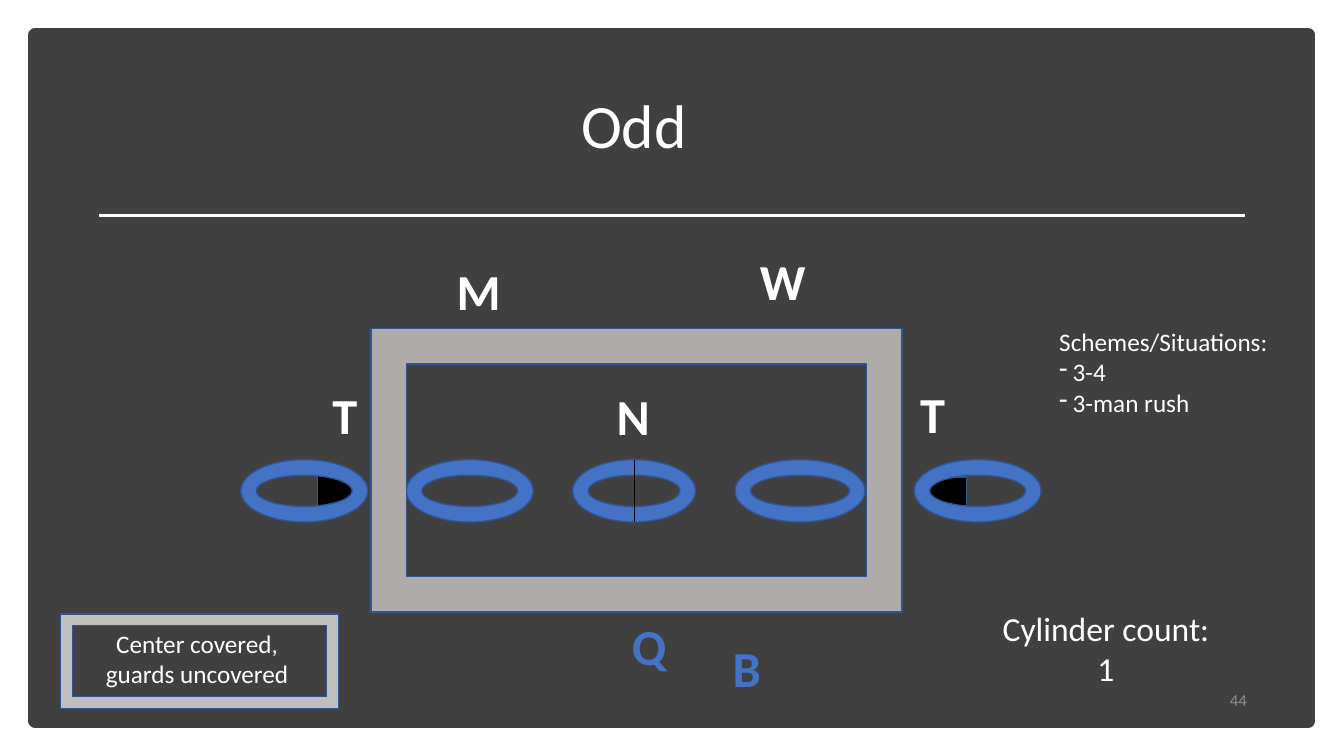
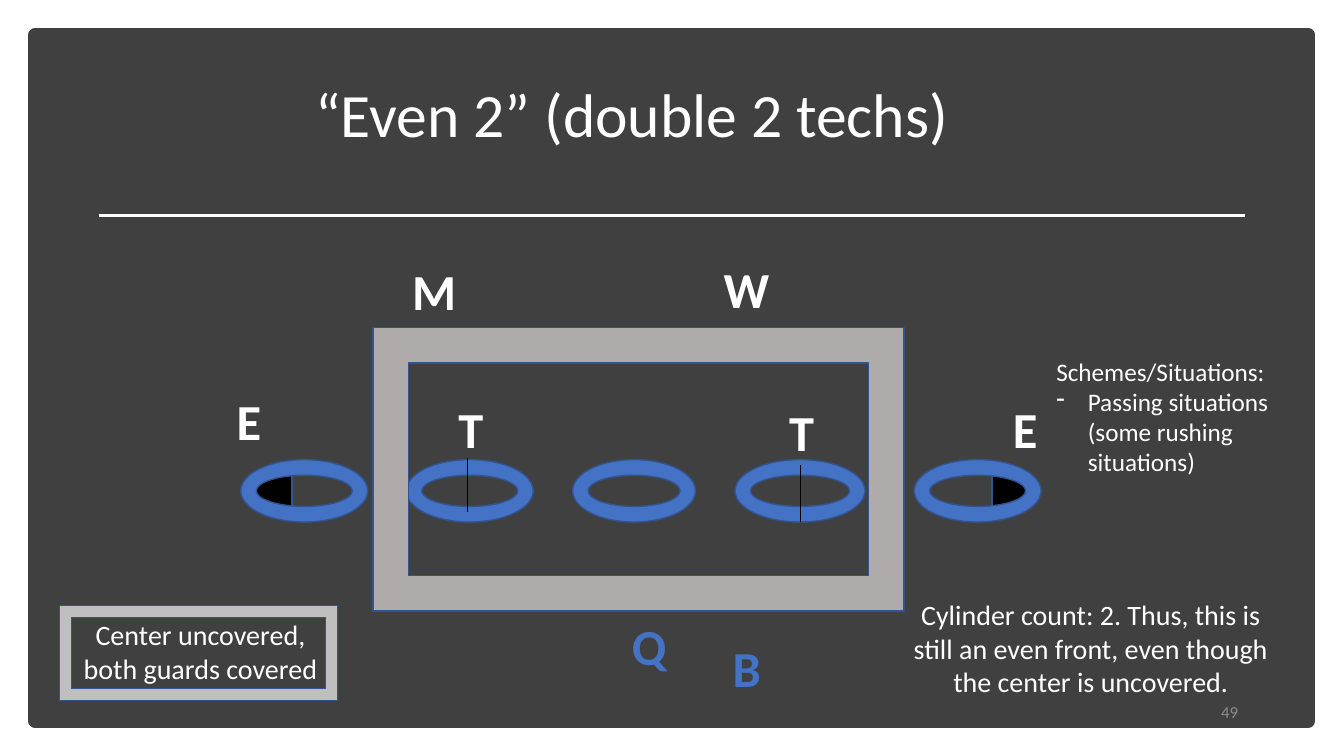
from lxml import etree
from pptx import Presentation
from pptx.dml.color import RGBColor
from pptx.enum.shapes import MSO_CONNECTOR, MSO_SHAPE
from pptx.enum.text import MSO_ANCHOR, PP_ALIGN
from pptx.oxml.ns import qn
from pptx.util import Pt

RECTANGLE, DONUT, FRAME = MSO_SHAPE.RECTANGLE, MSO_SHAPE.DONUT, MSO_SHAPE.FRAME
STRAIGHT = MSO_CONNECTOR.STRAIGHT
LEFT, CENTER, RIGHT = PP_ALIGN.LEFT, PP_ALIGN.CENTER, PP_ALIGN.RIGHT
TOP, MIDDLE = MSO_ANCHOR.TOP, MSO_ANCHOR.MIDDLE

FONT = "Calibri"
COLORS = {
    "panel": "404040",
    "white": "FFFFFF",
    "black": "000000",
    "offense": "4472C4",
    "outline": "325491",
    "tackle_box": "AFABAB",
    "legend": "BFBFBF",
    "number": "8C8C8C",
}

RULE = (70.5, 154, 889, 154, "white", 1.75)
LINEMEN = [(172, 90.7), (290.2, 90.7), (409, 87.8), (525, 92.9), (653, 90.7)]
LINEMAN_TOP, LINEMAN_HEIGHT = 328.3, 44.6
BACKS = [("Q", 444.2, 435.6), ("B", 516.2, 451.4)]

FRONTS = [
    {
        "title": "Odd",
        "title_at": (38.9, 39.6),
        "shades": [(661, 340.6, 29.5), (226.8, 339.8, 29.5)],
        "marks": [(453, 328.3, 373)],
        "defenders": [("N", 433.4, 271.4), ("T", 230.4, 270.7), ("T", 650.2, 270),
                      ("W", 535.7, 175), ("M", 319, 182.2)],
        "tackle_box_at": (265, 234.7),
        "legend_at": (43.2, 438.5),
        "legend": ["Center covered, guards uncovered"],
        "legend_box": (64.8, 445, 152, 51),
        "legend_size": 18,
        "count": "Cylinder count: 1",
        "count_box": (704, 430.6, 172, 65.5),
        "count_size": 24,
        "situations": ["3-4", "3-man rush"],
        "situations_box": (749.5, 229.7, 201, 72.7),
        "hang": 9.6,
        "number": "44",
        "number_at": (681.8, 485.3),
    },
    {
        "title": "“Even 2” (double 2 techs)",
        "title_at": (37.5, 31.7),
        "shades": [(708.5, 339.1, 28), (180.7, 339.1, 28)],
        "marks": [(334.1, 327, 365.8), (571.7, 332, 373)],
        "defenders": [("T", 320.4, 280.8), ("T", 556.6, 283), ("W", 509.8, 180.7),
                      ("M", 287.3, 182.2), ("E", 716.4, 280.8), ("E", 162, 275)],
        "tackle_box_at": (266.4, 234),
        "legend_at": (42.5, 432.7),
        "legend": ["Center uncovered,", "both guards covered"],
        "legend_box": (28, 437.8, 230.4, 55.4),
        "legend_size": 20,
        "count": "Cylinder count: 2. Thus, this is still an even front, "
                 "even though the center is uncovered.",
        "count_box": (639.4, 423.4, 279.4, 80),
        "count_size": 20,
        "situations": ["Passing situations (some rushing situations)"],
        "situations_box": (747.4, 250.6, 201, 116.6),
        "hang": 22.5,
        "number": "49",
        "number_at": (675.4, 493.9),
    },
]


def add_text(page, place, lines, size=18, color="white", bold=False,
             align=LEFT, anchor=TOP, spacing=1.0, hang=None):
    box = page.shapes.add_textbox(*[Pt(value) for value in place])
    frame = box.text_frame
    frame.word_wrap = True
    frame.vertical_anchor = anchor
    for index, line in enumerate(lines):
        para = frame.add_paragraph() if index else frame.paragraphs[0]
        para.alignment = align
        para.line_spacing = spacing
        if hang and index:
            properties = para._p.get_or_add_pPr()
            properties.set("marL", str(Pt(hang)))
            properties.set("indent", str(-Pt(hang)))
            etree.SubElement(properties, qn("a:buChar")).set("char", "-")
        span = para.add_run()
        span.text = line
        span.font.name = FONT
        span.font.size = Pt(size)
        span.font.bold = bold
        span.font.color.rgb = RGBColor.from_string(COLORS[color])


def add_figure(page, kind, place, fill, line="outline", weight=1):
    shape = page.shapes.add_shape(kind, *[Pt(value) for value in place])
    shape.shadow.inherit = False
    shape.fill.solid()
    shape.fill.fore_color.rgb = RGBColor.from_string(COLORS[fill])
    shape.line.color.rgb = RGBColor.from_string(COLORS[line])
    shape.line.width = Pt(weight)


deck = Presentation()
deck.slide_width, deck.slide_height = Pt(960), Pt(540)

for front in FRONTS:
    page = deck.slides.add_slide(deck.slide_layouts[6])
    add_figure(page, RECTANGLE, (25.2, 25.2, 909.4, 489.6), "panel", line="panel", weight=10)
    add_text(page, (*front["title_at"], 828, 104.4), [front["title"]],
             size=44, align=CENTER, anchor=MIDDLE, spacing=0.9)

    for left, top, width in front["shades"]:
        add_figure(page, RECTANGLE, (left, top, width, 22.3), "black")
    for left, width in LINEMEN:
        add_figure(page, DONUT, (left, LINEMAN_TOP, width, LINEMAN_HEIGHT), "offense")

    marks = [(x, top, x, bottom, "black", 0.5) for x, top, bottom in front["marks"]]
    for *ends, color, weight in [RULE, *marks]:
        connector = page.shapes.add_connector(STRAIGHT, *[Pt(value) for value in ends])
        connector.line.color.rgb = RGBColor.from_string(COLORS[color])
        connector.line.width = Pt(weight)
        etree.SubElement(connector._element.spPr, qn("a:effectLst"))

    add_figure(page, FRAME, (*front["tackle_box_at"], 379.4, 202.3), "tackle_box")
    add_figure(page, FRAME, (*front["legend_at"], 198.7, 67.7), "legend")

    for players, color in ((front["defenders"], "white"), (BACKS, "offense")):
        for letter, left, top in players:
            add_text(page, (left, top, 93, 51), [letter], size=36, color=color, bold=True)

    add_text(page, front["legend_box"], front["legend"],
             size=front["legend_size"], align=CENTER)
    add_text(page, front["count_box"], [front["count"]],
             size=front["count_size"], align=CENTER)
    add_text(page, front["situations_box"], ["Schemes/Situations:", *front["situations"]],
             hang=front["hang"])
    add_text(page, (*front["number_at"], 216, 28.8), [front["number"]],
             size=12, color="number", align=RIGHT, anchor=MIDDLE)

deck.save("out.pptx")
